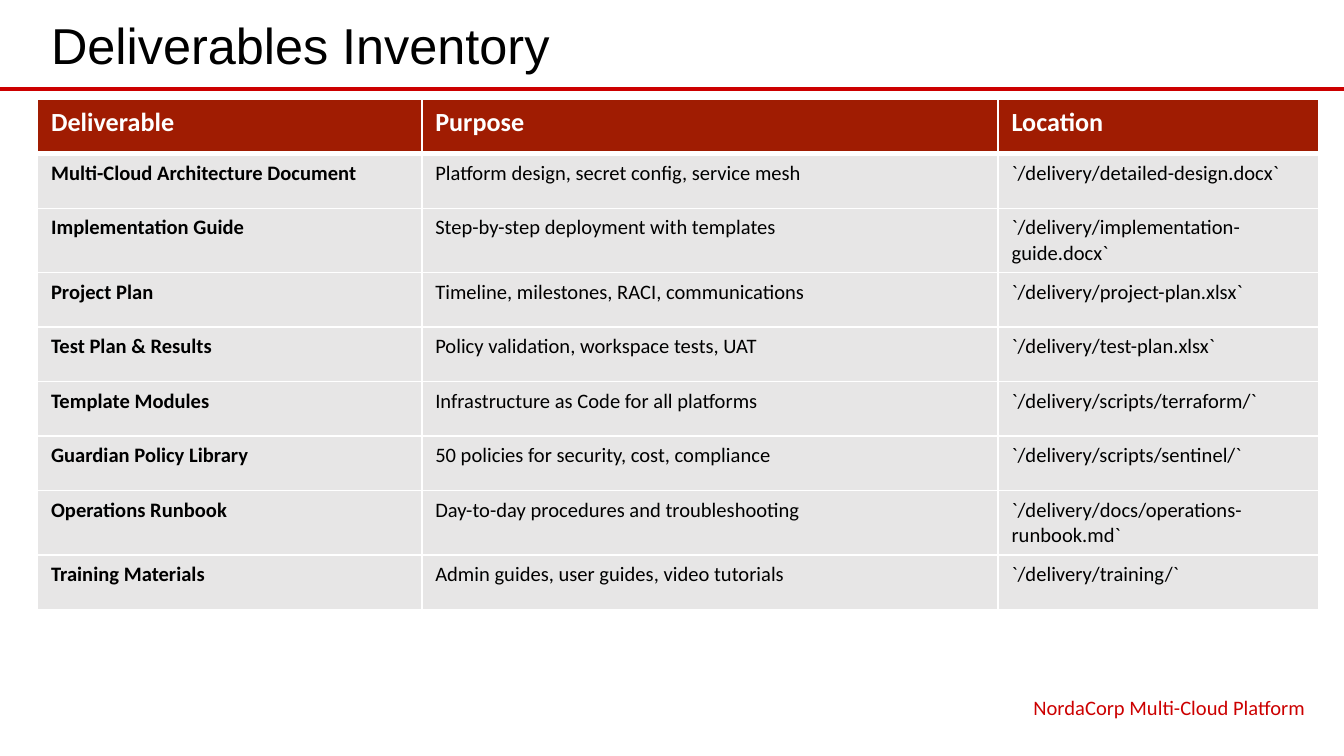
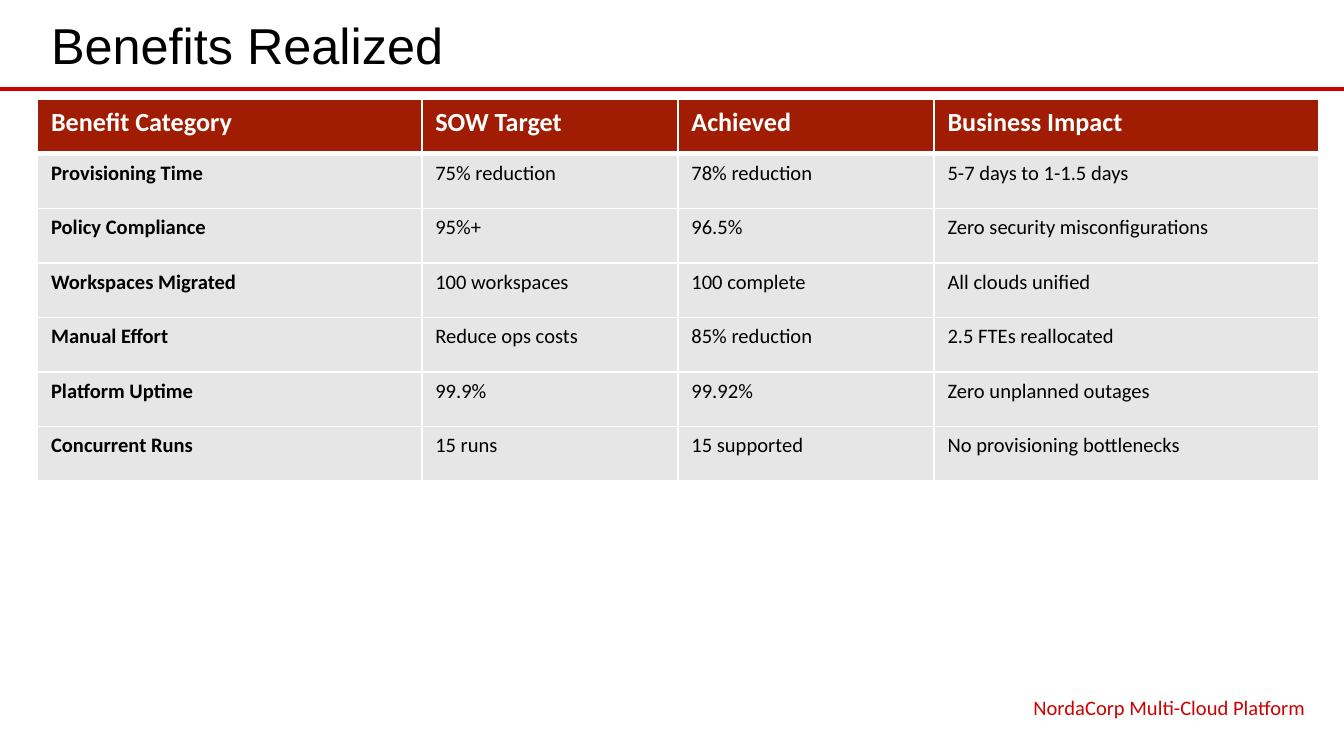
from lxml import etree
from pptx import Presentation
from pptx.dml.color import RGBColor
from pptx.enum.shapes import MSO_CONNECTOR
from pptx.enum.text import MSO_ANCHOR, MSO_AUTO_SIZE, PP_ALIGN
from pptx.oxml.ns import qn
from pptx.util import Inches, Pt

STRAIGHT = MSO_CONNECTOR.STRAIGHT
TOP, MIDDLE = MSO_ANCHOR.TOP, MSO_ANCHOR.MIDDLE
LEFT, RIGHT = PP_ALIGN.LEFT, PP_ALIGN.RIGHT
NO_AUTOFIT = MSO_AUTO_SIZE.NONE

WIDTH = Inches(10)
HEIGHT = WIDTH * 9 // 16
MARGIN, CONTENT_WIDTH = 2.8, 95.3
RULE_TOP = 11.73
TABLE_TOP = 13.16
ROW_HEIGHT = Pt(29.2)

COLORS = {
    "background": "FFFFFF",
    "accent": "CC0000",
    "header": "A01C02",
    "row": "E7E6E6",
    "text": "000000",
    "header_text": "FFFFFF",
    "border": "FFFFFF",
}

TITLE_FONT = {"name": "Arial", "size": Pt(27), "bold": False}
HEADER_FONT = {"name": "Calibri", "size": Pt(14), "bold": True}
LABEL_FONT = {"name": "Calibri", "size": Pt(11), "bold": True}
BODY_FONT = {"name": "Calibri", "size": Pt(11), "bold": False}

FOOTER = "NordaCorp Multi-Cloud Platform"

DELIVERABLES = [
    ("Deliverable", "Purpose", "Location"),
    ("Multi-Cloud Architecture Document", "Platform design, secret config, service mesh",
     "`/delivery/detailed-design.docx`"),
    ("Implementation Guide", "Step-by-step deployment with templates",
     "`/delivery/implementation-guide.docx`"),
    ("Project Plan", "Timeline, milestones, RACI, communications",
     "`/delivery/project-plan.xlsx`"),
    ("Test Plan & Results", "Policy validation, workspace tests, UAT",
     "`/delivery/test-plan.xlsx`"),
    ("Template Modules", "Infrastructure as Code for all platforms",
     "`/delivery/scripts/terraform/`"),
    ("Guardian Policy Library", "50 policies for security, cost, compliance",
     "`/delivery/scripts/sentinel/`"),
    ("Operations Runbook", "Day-to-day procedures and troubleshooting",
     "`/delivery/docs/operations-runbook.md`"),
    ("Training Materials", "Admin guides, user guides, video tutorials",
     "`/delivery/training/`"),
]

BENEFITS = [
    ("Benefit Category", "SOW Target", "Achieved", "Business Impact"),
    ("Provisioning Time", "75% reduction", "78% reduction", "5-7 days to 1-1.5 days"),
    ("Policy Compliance", "95%+", "96.5%", "Zero security misconfigurations"),
    ("Workspaces Migrated", "100 workspaces", "100 complete", "All clouds unified"),
    ("Manual Effort", "Reduce ops costs", "85% reduction", "2.5 FTEs reallocated"),
    ("Platform Uptime", "99.9%", "99.92%", "Zero unplanned outages"),
    ("Concurrent Runs", "15 runs", "15 supported", "No provisioning bottlenecks"),
]


def across(percent):
    return int(WIDTH * percent / 100)


def down(percent):
    return int(HEIGHT * percent / 100)


def rgb(color):
    return RGBColor.from_string(COLORS[color])


def set_values(target, values):
    for name, value in values.items():
        setattr(target, name, value)


def write(text_frame, text, font, color, alignment=LEFT):
    paragraph = text_frame.paragraphs[0]
    paragraph.text = text
    paragraph.alignment = alignment
    set_values(paragraph.font, font)
    paragraph.font.color.rgb = rgb(color)


def format_box(shape, text, font, color, alignment, anchor):
    set_values(shape.text_frame, {
        "word_wrap": True,
        "auto_size": NO_AUTOFIT,
        "vertical_anchor": anchor,
    })
    write(shape.text_frame, text, font, color, alignment)


def add_title(slide, text):
    title = slide.shapes.title
    set_values(title, {
        "left": across(MARGIN),
        "top": down(0.71),
        "width": across(CONTENT_WIDTH),
        "height": down(10.31),
    })
    format_box(title, text, TITLE_FONT, "text", LEFT, MIDDLE)


def add_rule(slide):
    rule = slide.shapes.add_connector(STRAIGHT, 0, down(RULE_TOP), WIDTH, down(RULE_TOP))
    rule.line.color.rgb = rgb("accent")
    rule.line.width = Pt(2.25)
    etree.SubElement(rule._element.spPr, qn("a:effectLst"))


def add_footer(slide):
    width = 35.2
    left = MARGIN + CONTENT_WIDTH - width
    footer = slide.shapes.add_textbox(across(left), down(91.02), across(width), down(4.62))
    format_box(footer, FOOTER, BODY_FONT, "accent", RIGHT, TOP)


def fill_cell(cell, text, font, text_color, fill_color):
    cell.fill.solid()
    cell.fill.fore_color.rgb = rgb(fill_color)
    cell.vertical_anchor = TOP
    write(cell.text_frame, text, font, text_color)


def underline_cell(cell):
    border = etree.Element(qn("a:lnB"), w=str(Pt(3)))
    fill = etree.SubElement(border, qn("a:solidFill"))
    etree.SubElement(fill, qn("a:srgbClr"), val=COLORS["border"])
    cell._tc.get_or_add_tcPr().insert(0, border)


def add_table(slide, rows, column_shares):
    frame = slide.shapes.add_table(
        len(rows), len(column_shares), across(MARGIN), down(TABLE_TOP),
        across(CONTENT_WIDTH), ROW_HEIGHT * len(rows))
    table = frame.table
    table.horz_banding = False
    for column, share in zip(table.columns, column_shares):
        column.width = across(CONTENT_WIDTH * share)
    for row_index, values in enumerate(rows):
        table.rows[row_index].height = ROW_HEIGHT
        for column_index, text in enumerate(values):
            cell = table.cell(row_index, column_index)
            if row_index == 0:
                fill_cell(cell, text, HEADER_FONT, "header_text", "header")
                underline_cell(cell)
            else:
                font = LABEL_FONT if column_index == 0 else BODY_FONT
                fill_cell(cell, text, font, "text", "row")


def add_table_slide(presentation, title, rows, column_shares):
    slide = presentation.slides.add_slide(presentation.slide_layouts.get_by_name("Title Only"))
    slide.background.fill.solid()
    slide.background.fill.fore_color.rgb = rgb("background")
    add_rule(slide)
    add_title(slide, title)
    add_table(slide, rows, column_shares)
    add_footer(slide)


def main():
    presentation = Presentation()
    set_values(presentation, {"slide_width": WIDTH, "slide_height": HEIGHT})
    add_table_slide(presentation, "Deliverables Inventory", DELIVERABLES, (0.3, 0.45, 0.25))
    add_table_slide(presentation, "Benefits Realized", BENEFITS, (0.3, 0.2, 0.2, 0.3))
    presentation.save("out.pptx")


if __name__ == "__main__":
    main()
